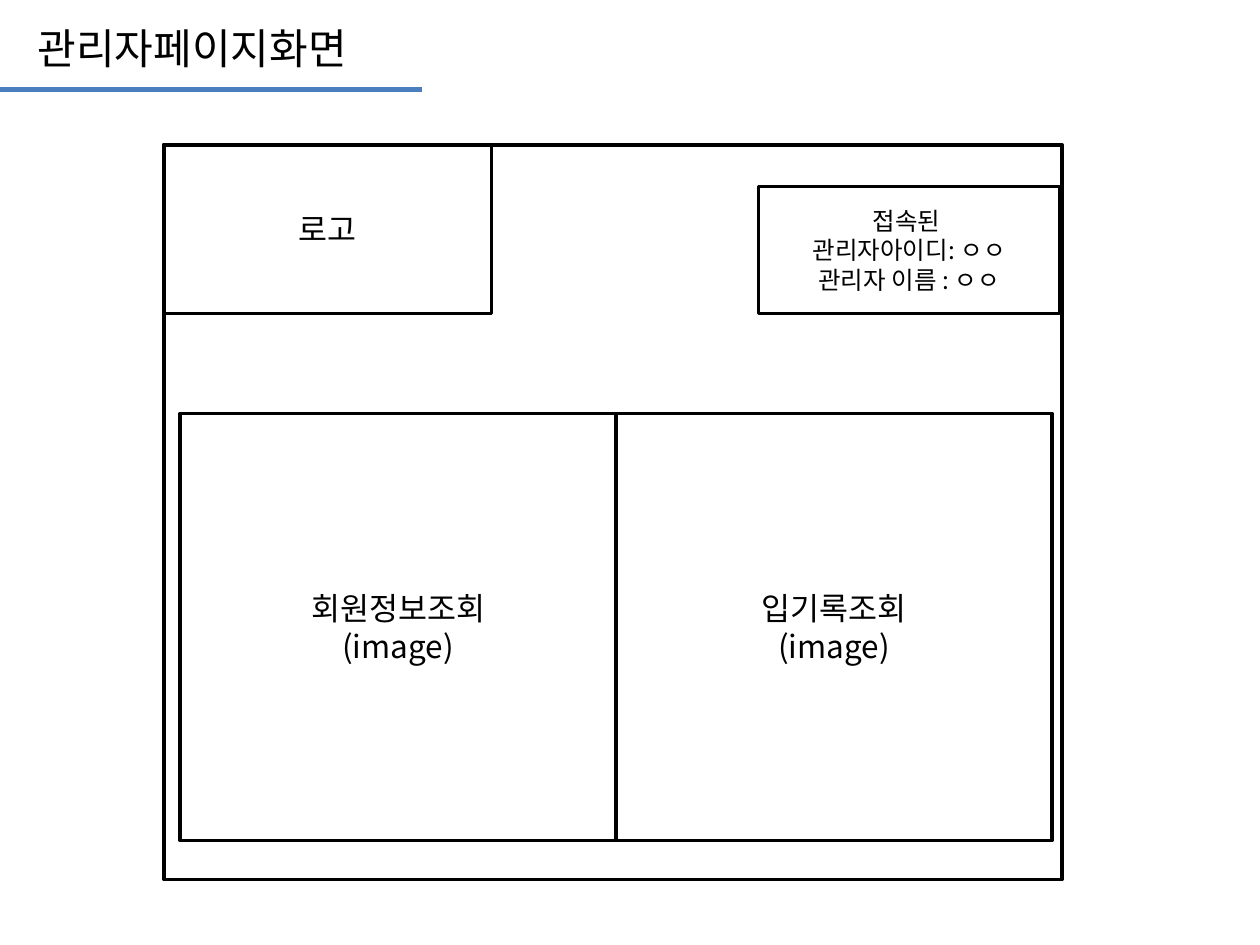
from lxml import etree
from pptx import Presentation
from pptx import util as u
from pptx.dml.color import RGBColor
from pptx.enum import shapes, text
from pptx.oxml import ns

THEME = {
    "font": "Noto Sans CJK KR",
    "ink": RGBColor.from_string("000000"),
    "accent": RGBColor.from_string("4B7EBC"),
    "title": 24,
    "body": 18,
    "small": 14,
    "border": 2,
    "rule": 2.5,
}

TITLE = "관리자페이지화면"
LOGO = "로고"
ACCOUNT = "접속된 \v관리자아이디: ㅇㅇ\n관리자 이름 : ㅇㅇ"
MENU = ["회원정보조회\n(image)", "입기록조회\n(image)"]

FRAME_LEFT, FRAME_TOP, FRAME_WIDTH, FRAME_HEIGHT = 1.3, 1.15, 7.13, 5.83
HEADER_BOTTOM = 2.49
ACCOUNT_LEFT, ACCOUNT_TOP, ACCOUNT_WIDTH = 6.02, 1.48, 2.39
MENU_LEFT, MENU_TOP, MENU_WIDTH, MENU_HEIGHT = 1.43, 3.28, 3.46, 3.39
RULE_WIDTH, RULE_TOP = 3.35, 0.71

deck = Presentation()
deck.slide_width, deck.slide_height = u.Inches(10), u.Inches(7.5)
page = deck.slides.add_slide(deck.slide_layouts[6])


def write(frame, words, size, align):
    frame.text = words
    frame.word_wrap = True
    for para in frame.paragraphs:
        para.alignment = align
        for span in para.runs:
            span.font.size = u.Pt(size)
            span.font.name = THEME["font"]
            span.font.color.rgb = THEME["ink"]
            east_asian = etree.SubElement(span.font._element, ns.qn("a:ea"))
            east_asian.set("typeface", THEME["font"])


def add_panel(left, top, width, height, words="", size=THEME["body"]):
    box = page.shapes.add_shape(
        shapes.MSO_SHAPE.RECTANGLE, *map(u.Inches, (left, top, width, height))
    )
    box.shadow.inherit = False
    box.fill.background()
    box.line.color.rgb = THEME["ink"]
    box.line.width = u.Pt(THEME["border"])
    if words:
        box.text_frame.vertical_anchor = text.MSO_ANCHOR.MIDDLE
        write(box.text_frame, words, size, text.PP_ALIGN.CENTER)


add_panel(FRAME_LEFT, FRAME_TOP, FRAME_WIDTH, FRAME_HEIGHT)
add_panel(FRAME_LEFT, FRAME_TOP, 2.6, HEADER_BOTTOM - FRAME_TOP, LOGO)
add_panel(ACCOUNT_LEFT, ACCOUNT_TOP, ACCOUNT_WIDTH, HEADER_BOTTOM - ACCOUNT_TOP,
          ACCOUNT, THEME["small"])
for column, words in enumerate(MENU):
    add_panel(MENU_LEFT + column * MENU_WIDTH, MENU_TOP, MENU_WIDTH, MENU_HEIGHT, words)

title = page.shapes.add_textbox(*map(u.Inches, (0.2, 0.13, 4.88, 0.5)))
write(title.text_frame, TITLE, THEME["title"], text.PP_ALIGN.LEFT)
title.text_frame.auto_size = text.MSO_AUTO_SIZE.SHAPE_TO_FIT_TEXT

rule = page.shapes.add_connector(
    shapes.MSO_CONNECTOR.STRAIGHT, *map(u.Inches, (0, RULE_TOP, RULE_WIDTH, RULE_TOP))
)
rule.line.color.rgb = THEME["accent"]
rule.line.width = u.Pt(THEME["rule"])
etree.SubElement(rule._element.spPr, ns.qn("a:effectLst"))

deck.save("out.pptx")
